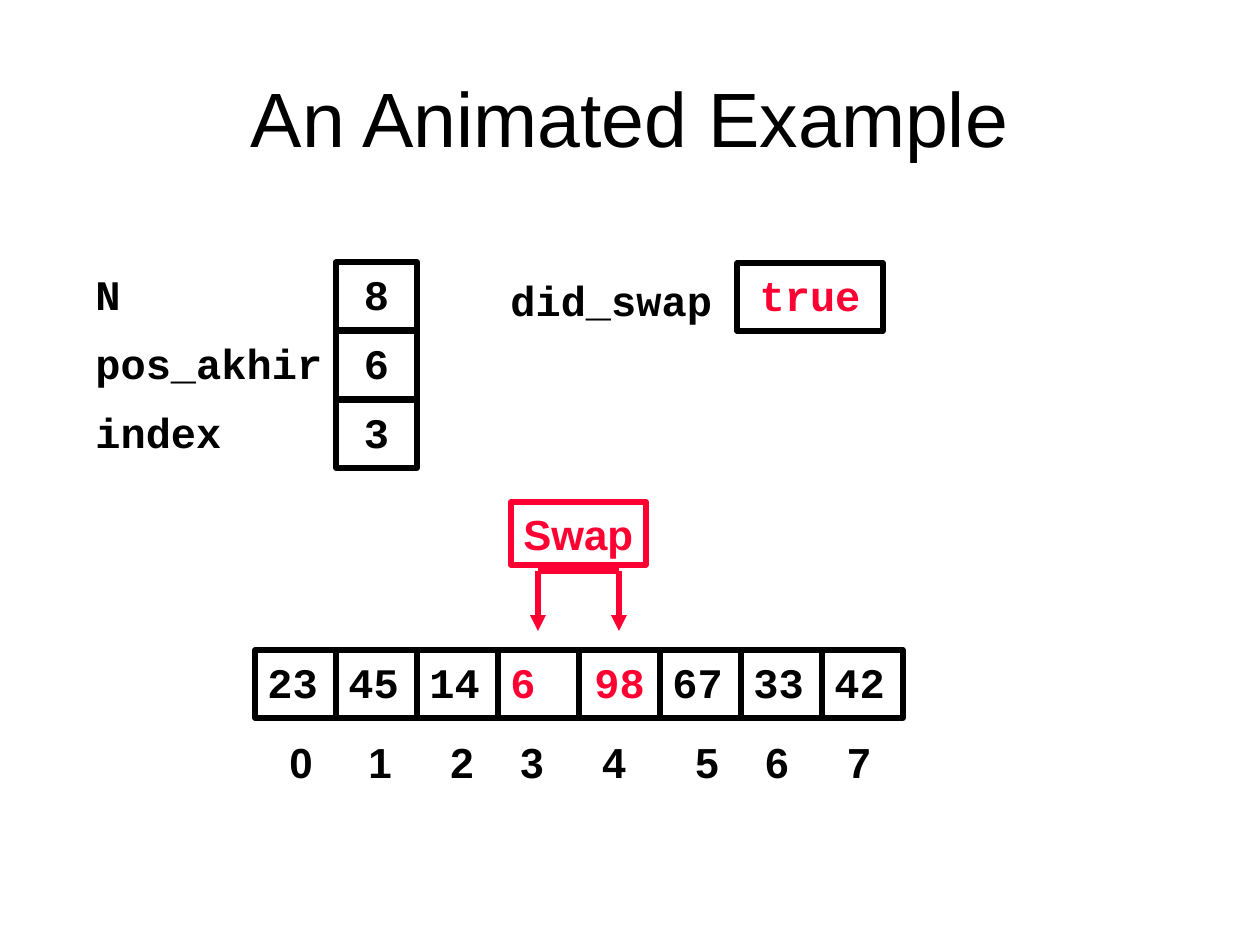
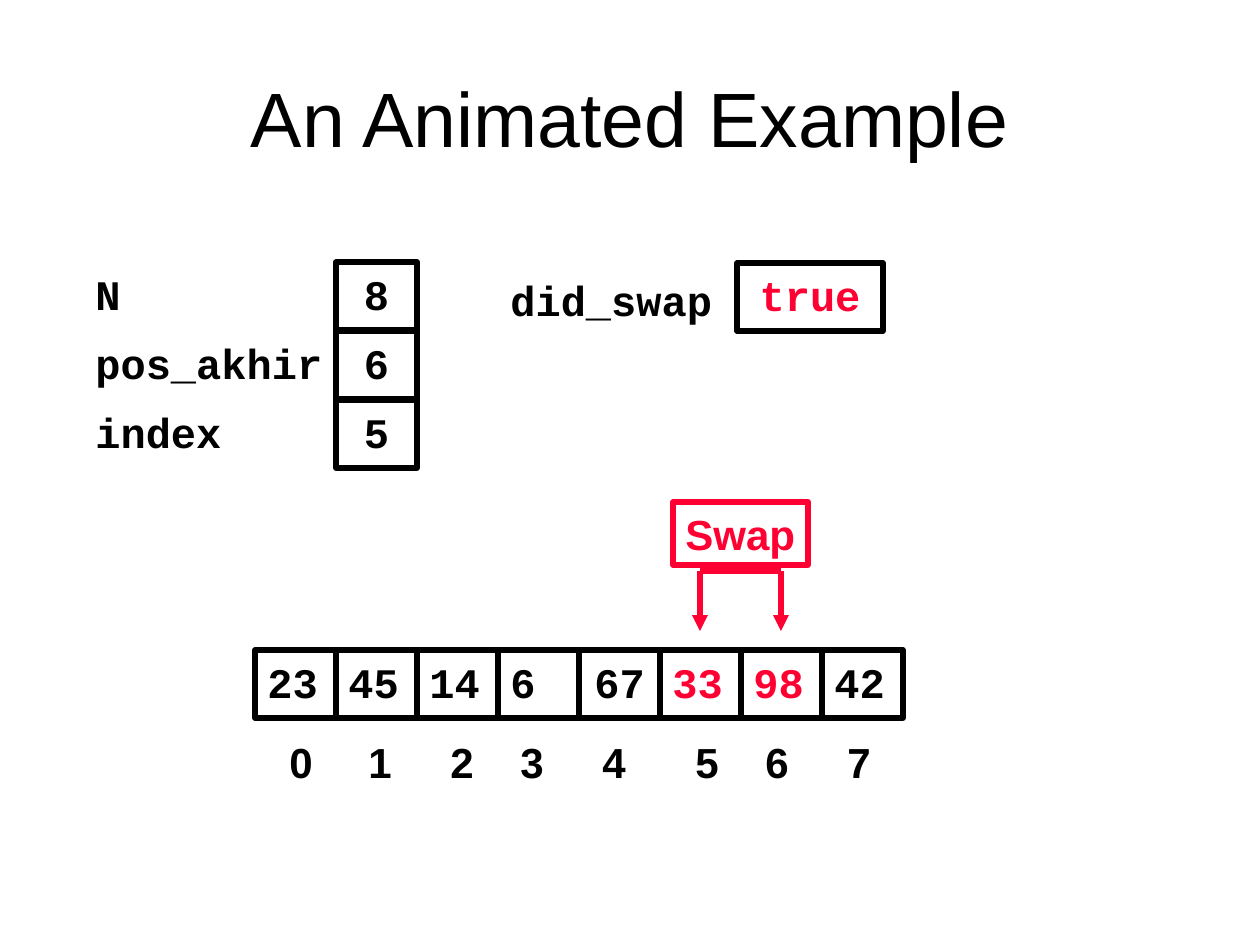
from lxml import etree
from pptx import Presentation
from pptx.dml.color import RGBColor
from pptx.enum.shapes import MSO_CONNECTOR, MSO_SHAPE
from pptx.enum.text import MSO_ANCHOR, MSO_AUTO_SIZE, PP_ALIGN
from pptx.oxml.ns import qn
from pptx.util import Emu, Pt

RECTANGLE = MSO_SHAPE.RECTANGLE
STRAIGHT = MSO_CONNECTOR.STRAIGHT
TOP, MIDDLE = MSO_ANCHOR.TOP, MSO_ANCHOR.MIDDLE
LEFT, CENTER = PP_ALIGN.LEFT, PP_ALIGN.CENTER
FIT, FIXED = MSO_AUTO_SIZE.SHAPE_TO_FIT_TEXT, MSO_AUTO_SIZE.NONE

# Content
TITLE = "An Animated Example"
STEPS = [
    {"index": 3, "array": [23, 45, 14, 6, 98, 67, 33, 42]},
    {"index": 5, "array": [23, 45, 14, 6, 67, 33, 98, 42]},
]
POSITIONS = "01234567"
LAST_POSITION = 6
DID_SWAP = "true"

# Style
COLORS = {"ink": "000000", "swap": "FF0033"}
CODE = {"name": "Courier New", "size": Pt(24), "bold": True}
LABEL = {"name": "Arial", "size": Pt(24), "bold": True}
HEADING = {"name": "Arial", "size": Pt(44), "bold": False}
LINE_WIDTH = Pt(3)

# Layout in px
PAGE = (1260, 945)
TITLE_AREA = (63, 38, 1134, 158)
CELL_WIDTH, CELL_HEIGHT = 81, 68
ARRAY_LEFT, ARRAY_TOP = 255, 650
CENTERED_CELL = 4
NAME_LEFT, VALUE_LEFT, VARIABLE_TOP, VARIABLE_STEP = 83, 336, 262, 69
NAME_WIDTHS = {"N": 151, "pos_akhir": 252, "index": 151}
TEXT_HEIGHT = 63
FLAG_NAME_AREA = (498, 268, 328, TEXT_HEIGHT)
FLAG_VALUE_AREA = (737, 263, 146, CELL_HEIGHT)
SWAP_INDENT, SWAP_TOP, SWAP_WIDTH = 13, 502, 135
BRIDGE_Y, ARROW_TIP_Y = 571, 631
POSITIONS_AREA = (277, 730, 615, TEXT_HEIGHT)
POSITION_TABS = (79, 161, 231, 313, 406, 476, 558)


def px(length):
    return Emu(round(length * 914400 / 126))


def rgb(color):
    return RGBColor.from_string(COLORS[color])


def write(shape, text, font, color="ink", align=LEFT, anchor=TOP, wrap=False, fit=FIXED):
    frame = shape.text_frame
    settings = {"word_wrap": wrap, "auto_size": fit, "vertical_anchor": anchor}
    for name, value in settings.items():
        setattr(frame, name, value)
    para = frame.paragraphs[0]
    para.alignment = align
    span = para.add_run()
    span.text = text
    for name, value in font.items():
        setattr(span.font, name, value)
    span.font.color.rgb = rgb(color)
    return para


def add_text(page, area, text, font, **options):
    box = page.shapes.add_textbox(*map(px, area))
    return write(box, text, font, **options)


def add_box(page, area, text, font=CODE, line="ink", **options):
    box = page.shapes.add_shape(RECTANGLE, *map(px, area))
    box.shadow.inherit = False
    box.fill.background()
    box.line.color.rgb = rgb(line)
    box.line.width = LINE_WIDTH
    write(box, text, font, **options)


def add_line(page, start, end, arrow=False):
    line = page.shapes.add_connector(STRAIGHT, *map(px, start + end))
    line.line.color.rgb = rgb("swap")
    line.line.width = LINE_WIDTH
    if arrow:
        outline = line.line._get_or_add_ln()
        etree.SubElement(outline, qn("a:tailEnd"), type="triangle")
    etree.SubElement(line._element.spPr, qn("a:effectLst"))


def cell_left(position):
    return ARRAY_LEFT + position * CELL_WIDTH


def add_variables(page, step):
    values = {"N": len(step["array"]), "pos_akhir": LAST_POSITION, "index": step["index"]}
    for row, (name, value) in enumerate(values.items()):
        top = VARIABLE_TOP + row * VARIABLE_STEP
        add_text(page, (NAME_LEFT, top, NAME_WIDTHS[name], TEXT_HEIGHT), name, CODE, fit=FIT)
        add_box(page, (VALUE_LEFT, top, CELL_WIDTH, CELL_HEIGHT), str(value), align=CENTER)
    add_text(page, FLAG_NAME_AREA, "did_swap", CODE, fit=FIT)
    add_box(page, FLAG_VALUE_AREA, DID_SWAP, color="swap", align=CENTER)


def add_array(page, step):
    swapped = (step["index"], step["index"] + 1)
    for position, value in enumerate(step["array"]):
        add_box(page, (cell_left(position), ARRAY_TOP, CELL_WIDTH, CELL_HEIGHT), str(value),
                color="swap" if position in swapped else "ink",
                align=CENTER if position == CENTERED_CELL else LEFT)

    # Position numbers on tab stops
    para = add_text(page, POSITIONS_AREA, "\t".join(POSITIONS), LABEL, wrap=True, fit=FIT)
    stops = etree.SubElement(para._p.get_or_add_pPr(), qn("a:tabLst"))
    for offset in POSITION_TABS:
        etree.SubElement(stops, qn("a:tab"), pos=str(px(offset)), algn="l")


def add_swap(page, index):
    middles = [cell_left(position) + CELL_WIDTH // 2 for position in (index, index + 1)]
    for middle in middles:
        add_line(page, (middle, BRIDGE_Y), (middle, ARROW_TIP_Y), arrow=True)
    add_line(page, (middles[0], BRIDGE_Y), (middles[1], BRIDGE_Y))
    area = (cell_left(index) + SWAP_INDENT, SWAP_TOP, SWAP_WIDTH, TEXT_HEIGHT)
    add_box(page, area, "Swap", LABEL, line="swap", color="swap", fit=FIT)


def main():
    deck = Presentation()
    deck.slide_width, deck.slide_height = map(px, PAGE)
    blank = deck.slide_layouts[6]
    for step in STEPS:
        page = deck.slides.add_slide(blank)
        add_text(page, TITLE_AREA, TITLE, HEADING, align=CENTER, anchor=MIDDLE, wrap=True)
        add_array(page, step)
        add_variables(page, step)
        add_swap(page, step["index"])
    deck.save("out.pptx")


if __name__ == "__main__":
    main()
